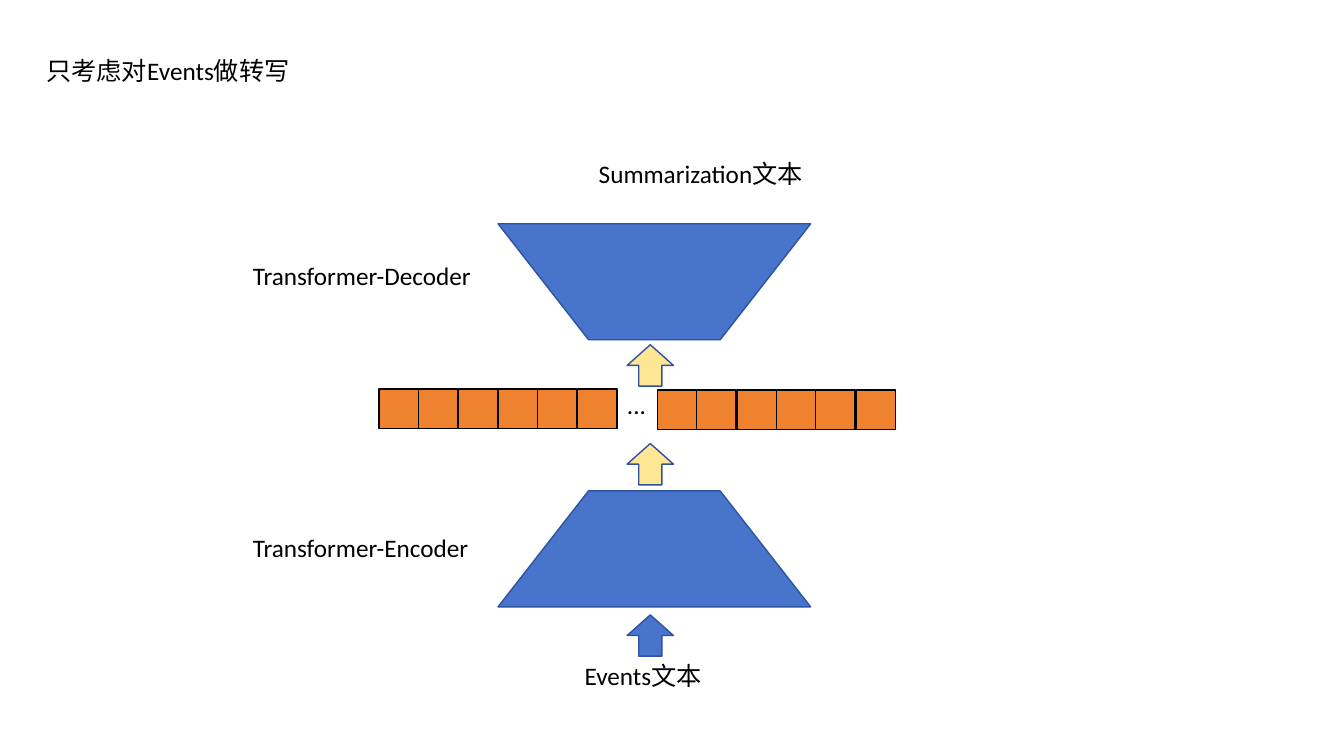
from pptx import Presentation
from pptx.dml.color import RGBColor
from pptx.enum.shapes import MSO_SHAPE
from pptx.enum.text import MSO_ANCHOR, MSO_AUTO_SIZE, PP_ALIGN
from pptx.util import Pt

EMU_PER_PX = 9144
LABEL_W, LABEL_H = 444, 40
CELL, CELLS, ROW_W = 39, 6, 236
COLORS = {
    "text": "000000",
    "blue": "4874CB",
    "outline": "2E54A1",
    "yellow": "FEE695",
    "orange": "EE822F",
}


def px(n):
    return n * EMU_PER_PX


def rgb(name):
    return RGBColor.from_string(COLORS[name])


def write_text(sp, text):
    tf = sp.text_frame
    tf.text = text
    tf.word_wrap = True
    tf.auto_size = MSO_AUTO_SIZE.NONE
    tf.vertical_anchor = MSO_ANCHOR.TOP
    p = tf.paragraphs[0]
    p.alignment = PP_ALIGN.LEFT
    p.font.name = "Calibri"
    p.font.size = Pt(18)
    p.font.color.rgb = rgb("text")


def set_title(slide, left, top, text):
    sp = slide.shapes.title
    sp.left, sp.top = px(left), px(top)
    sp.width, sp.height = px(LABEL_W), px(LABEL_H)
    write_text(sp, text)


def add_label(slide, left, top, text):
    sp = slide.shapes.add_textbox(px(left), px(top), px(LABEL_W), px(LABEL_H))
    write_text(sp, text)


def add_block(slide, kind, left, top, width, height, fill, line="outline"):
    sp = slide.shapes.add_shape(kind, px(left), px(top), px(width), px(height))
    sp.shadow.inherit = False
    sp.fill.solid()
    sp.fill.fore_color.rgb = rgb(fill)
    sp.line.color.rgb = rgb(line)
    sp.line.width = Pt(1)
    return sp


def add_trapezoid(slide, top, rotation=0):
    sp = add_block(slide, MSO_SHAPE.TRAPEZOID, 494, top, 310, 115, "blue")
    sp.adjustments[0] = 0.78
    sp.rotation = rotation


def add_arrow(slide, top, fill):
    add_block(slide, MSO_SHAPE.UP_ARROW, 622, top, 46, 41, fill)


def add_cells(slide, left, top):
    for i in range(CELLS):
        x = left + round(i * ROW_W / CELLS)
        add_block(slide, MSO_SHAPE.RECTANGLE, x, top, CELL, CELL, "orange", "text")


def main():
    prs = Presentation()
    prs.slide_width, prs.slide_height = px(1333), px(750)
    slide = prs.slides.add_slide(prs.slide_layouts[5])

    set_title(slide, 36, 50, "只考虑对Events做转写")

    add_trapezoid(slide, 487)
    add_trapezoid(slide, 222, rotation=180)

    for top, fill in ((610, "blue"), (440, "yellow"), (342, "yellow")):
        add_arrow(slide, top, fill)

    add_cells(slide, 376, 386)
    add_cells(slide, 652, 387)

    for left, top, text in (
        (584, 152, "Summarization文本"),
        (241, 253, "Transformer-Decoder"),
        (612, 381, "..."),
        (241, 523, "Transformer-Encoder"),
        (570, 650, "Events文本"),
    ):
        add_label(slide, left, top, text)

    prs.save("out.pptx")


if __name__ == "__main__":
    main()
